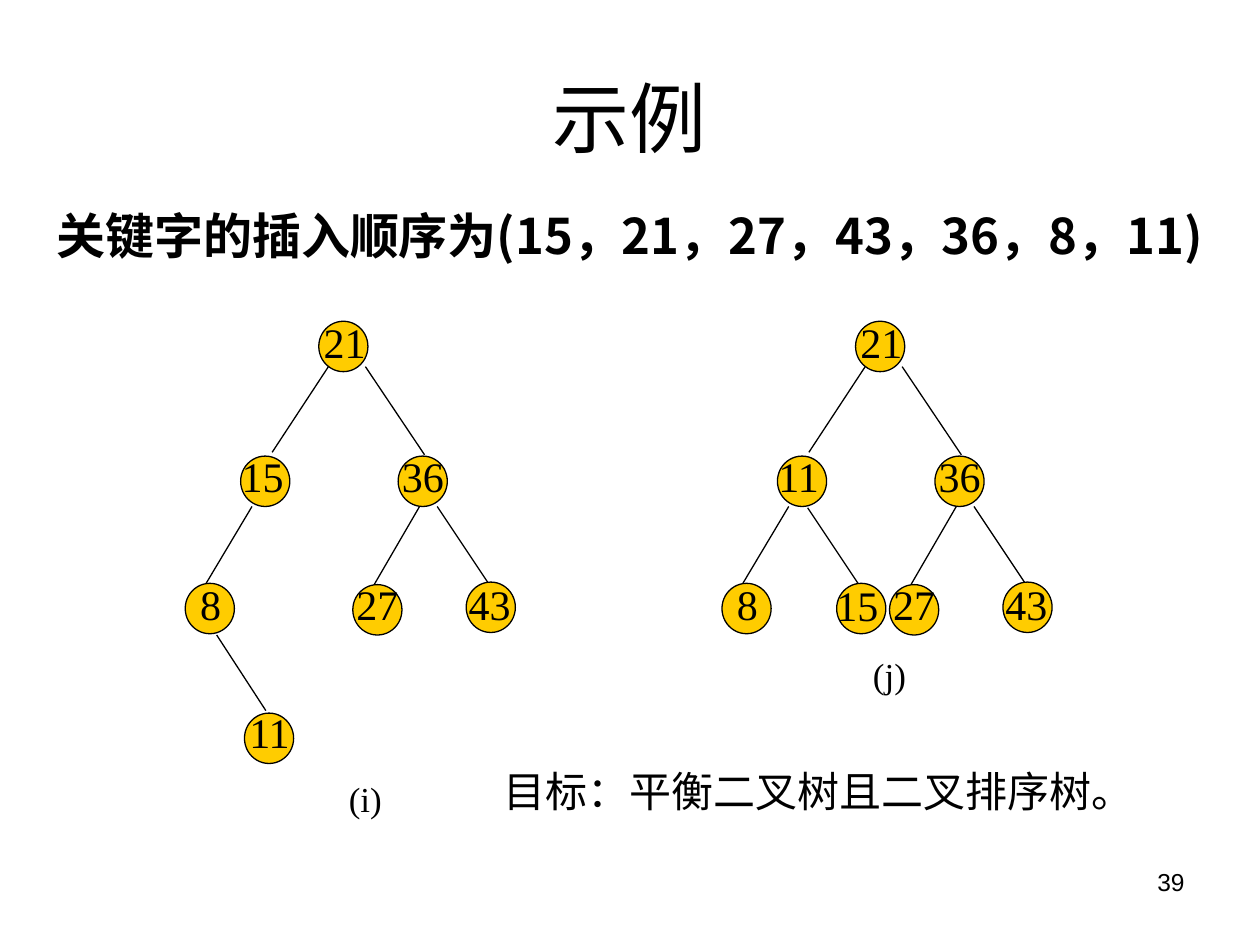
from lxml import etree
from pptx import Presentation
from pptx.dml.color import RGBColor
from pptx.enum.shapes import MSO_CONNECTOR, MSO_SHAPE
from pptx.enum.text import MSO_ANCHOR, PP_ALIGN
from pptx.oxml.ns import qn
from pptx.util import Inches, Pt

STRAIGHT = MSO_CONNECTOR.STRAIGHT
OVAL = MSO_SHAPE.OVAL
MIDDLE = MSO_ANCHOR.MIDDLE
LEFT, CENTER = PP_ALIGN.LEFT, PP_ALIGN.CENTER
RIGHT, JUSTIFY = PP_ALIGN.RIGHT, PP_ALIGN.JUSTIFY
TITLE_ONLY = 5

COLORS = {"ink": "000000", "node": "FFCC00"}
SERIF, SANS, CHINESE = "Times New Roman", "Arial", "Noto Sans CJK SC"
NODE_WIDTH, NODE_HEIGHT = 0.39, 0.4
LABEL_SIZE = 0.78, 0.69
TREE_SHIFT = 4.26

# Each node: key, circle left and top, label left and top
COMMON_NODES = [
    ("21", 2.53, 2.55, 2.47, 2.46),
    ("36", 3.16, 3.62, 3.09, 3.53),
    ("8", 1.47, 4.63, 1.49, 4.54),
    ("27", 2.8, 4.64, 2.73, 4.54),
    ("43", 3.7, 4.62, 3.62, 4.54),
]
# Each edge: start x, y and end x, y
COMMON_EDGES = [
    (2.9, 2.91, 3.37, 3.61),
    (2.62, 2.89, 2.16, 3.59),
    (2.0, 4.02, 1.63, 4.64),
    (3.33, 4.02, 2.97, 4.64),
    (3.47, 4.02, 3.87, 4.62),
]
# The two trees differ only in where 15 and 11 hang
TREE_I_NODES = [("15", 1.91, 3.62, 1.82, 3.53), ("11", 1.94, 5.66, 1.88, 5.56)]
TREE_I_EDGES = [(1.72, 5.04, 2.11, 5.64)]
TREE_J_NODES = [("11", 1.91, 3.62, 1.82, 3.53), ("15", 2.38, 4.63, 2.28, 4.55)]
TREE_J_EDGES = [(2.15, 4.03, 2.55, 4.63)]


def color(name):
    return RGBColor.from_string(COLORS[name])


def format_text(text_frame, text, size, font, align, bold=False):
    text_frame.word_wrap = True
    text_frame.text = text
    paragraph = text_frame.paragraphs[0]
    paragraph.alignment = align
    run = paragraph.runs[0]
    run.font.size = Pt(size)
    run.font.name = font
    run.font.bold = bold
    run.font.color.rgb = color("ink")
    # East Asian typeface
    east_asian = etree.SubElement(run.font._element, qn("a:ea"))
    east_asian.set("typeface", CHINESE)
    return paragraph


def add_text(slide, box, text, size, font=SERIF, align=JUSTIFY, bold=False):
    shape = slide.shapes.add_textbox(*map(Inches, box))
    return format_text(shape.text_frame, text, size, font, align, bold)


def add_edge(slide, ends):
    connector = slide.shapes.add_connector(STRAIGHT, *map(Inches, ends))
    connector.line.color.rgb = color("ink")
    connector.line.width = Pt(0.75)
    etree.SubElement(connector._element.spPr, qn("a:effectLst"))


def add_node(slide, left, top):
    circle = slide.shapes.add_shape(
        OVAL, Inches(left), Inches(top), Inches(NODE_WIDTH), Inches(NODE_HEIGHT))
    circle.shadow.inherit = False
    circle.fill.solid()
    circle.fill.fore_color.rgb = color("node")
    circle.line.color.rgb = color("ink")
    circle.line.width = Pt(0.75)


def add_tree(slide, nodes, edges, shift=0):
    for x1, y1, x2, y2 in edges:
        add_edge(slide, (x1 + shift, y1, x2 + shift, y2))
    for _, left, top, _, _ in nodes:
        add_node(slide, left + shift, top)
    for key, _, _, left, top in nodes:
        add_text(slide, (left + shift, top, *LABEL_SIZE), key, 24)


def add_title(slide, text):
    title = slide.shapes.title
    title.left, title.top = Inches(0.5), Inches(0.3)
    title.width, title.height = Inches(9), Inches(1.25)
    title.text_frame.vertical_anchor = MIDDLE
    format_text(title.text_frame, text, 44, SANS, CENTER)


def main():
    presentation = Presentation()
    presentation.slide_width, presentation.slide_height = Inches(10), Inches(7.5)
    slide = presentation.slides.add_slide(presentation.slide_layouts[TITLE_ONLY])

    # Title and page number
    add_title(slide, "示例")
    add_text(slide, (7.17, 6.83, 2.33, 0.52), "39", 14, SANS, RIGHT)

    # Trees and their captions
    add_tree(slide, COMMON_NODES + TREE_J_NODES, COMMON_EDGES + TREE_J_EDGES, TREE_SHIFT)
    add_tree(slide, COMMON_NODES + TREE_I_NODES, COMMON_EDGES + TREE_I_EDGES)
    add_text(slide, (2.67, 6.12, 1.03, 0.91), "(i)", 20)
    add_text(slide, (6.83, 5.14, 1.03, 0.91), "(j)", 20)

    # Goal and insertion order
    goal = add_text(slide, (3.9, 6.03, 5.43, 0.5), "目标：平衡二叉树且二叉排序树。", 24, align=LEFT)
    goal.space_before = Pt(12)
    add_text(slide, (0.35, 1.58, 9.37, 0.57),
             "关键字的插入顺序为(15，21，27，43，36，8，11)", 28, CHINESE, LEFT, True)

    presentation.save("out.pptx")


main()
